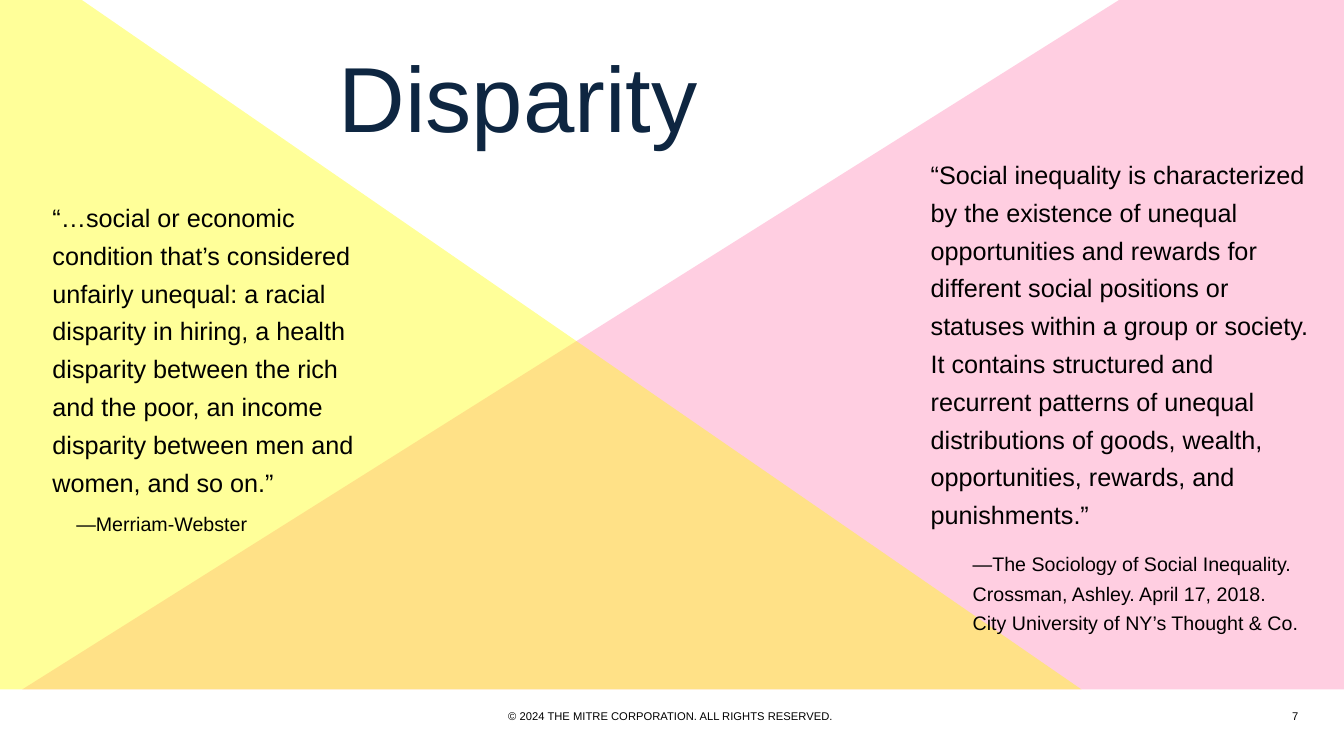
from lxml.etree import SubElement
from pptx import Presentation
from pptx.dml.color import RGBColor
from pptx.enum.shapes import MSO_SHAPE
from pptx.enum.text import MSO_ANCHOR, MSO_AUTO_SIZE, PP_ALIGN
from pptx.oxml.ns import qn
from pptx.util import Pt

NAVY = RGBColor(0x0E, 0x26, 0x41)
BLACK = RGBColor(0x00, 0x00, 0x00)
PINK = RGBColor(0xFF, 0x2D, 0x80)
YELLOW = RGBColor(0xFF, 0xFF, 0x00)

SOCIAL_INEQUALITY = (
    "“Social inequality is characterized by the existence of unequal opportunities "
    "and rewards for different social positions or statuses within a group or society. "
    "It contains structured and recurrent patterns of unequal distributions of goods, "
    "wealth, opportunities, rewards, and punishments.”"
)
DISPARITY = (
    "“…social or economic condition that’s considered unfairly unequal: a racial "
    "disparity in hiring, a health disparity between the rich and the poor, an income "
    "disparity between men and women, and so on.”"
)


class SlideBuilder:
    """Holds the text style and the current page, and adds elements to it."""

    font_name = "Arial"
    quote_spacing = 1.25

    def __init__(self, page):
        self.page = page

    def add_span(self, para, text, size, color=BLACK):
        span = para.add_run()
        span.text = text
        span.font.name = self.font_name
        span.font.size = Pt(size)
        span.font.color.rgb = color

    def prepare_frame(self, box, anchor):
        frame = box.text_frame
        frame.word_wrap = True
        frame.auto_size = MSO_AUTO_SIZE.NONE
        frame.vertical_anchor = anchor
        frame.margin_left = frame.margin_right = 0
        frame.margin_top = frame.margin_bottom = 0
        return frame

    def add_box(self, left, top, width, height, anchor=MSO_ANCHOR.TOP):
        box = self.page.shapes.add_textbox(Pt(left), Pt(top), Pt(width), Pt(height))
        return self.prepare_frame(box, anchor)

    def add_title(self, text, left, top, width, height):
        title = self.page.shapes.title
        title.left, title.top = Pt(left), Pt(top)
        title.width, title.height = Pt(width), Pt(height)
        frame = self.prepare_frame(title, MSO_ANCHOR.TOP)
        frame.margin_top = Pt(9)
        para = frame.paragraphs[0]
        para.alignment = PP_ALIGN.CENTER
        para.line_spacing = 0.9
        self.add_span(para, text, 66, NAVY)

    def add_triangle(self, left, top, width, height, color, opacity, flipped=False):
        triangle = self.page.shapes.add_shape(
            MSO_SHAPE.RIGHT_TRIANGLE, Pt(left), Pt(top), Pt(width), Pt(height))
        triangle.shadow.inherit = False
        triangle.line.fill.background()
        triangle.fill.solid()
        triangle.fill.fore_color.rgb = color
        properties = triangle.element.spPr
        tint = properties.find(qn("a:solidFill")).find(qn("a:srgbClr"))
        SubElement(tint, qn("a:alpha")).set("val", str(opacity * 1000))
        if flipped:
            properties.find(qn("a:xfrm")).set("flipH", "1")

    def add_quote(self, place, quote, credit_lines, indent, gap):
        frame = self.add_box(*place)
        quote_para, credit_para = frame.paragraphs[0], frame.add_paragraph()
        for para, margin in ((quote_para, 1), (credit_para, indent)):
            properties = para._p.get_or_add_pPr()
            properties.set("marL", str(Pt(margin)))
            properties.set("indent", "0")
            para.line_spacing = self.quote_spacing
            para.space_after = Pt(gap)
        self.add_span(quote_para, quote, 18)
        for index, line in enumerate(credit_lines):
            if index:
                credit_para.add_line_break()
            self.add_span(credit_para, line, 14)

    def add_footer(self, text, left, width, alignment):
        frame = self.add_box(left, 504, width, 14.4, MSO_ANCHOR.MIDDLE)
        para = frame.paragraphs[0]
        para.alignment = alignment
        self.add_span(para, text, 8)


def main():
    """Builds the Disparity slide."""
    deck = Presentation()
    deck.slide_width, deck.slide_height = Pt(960), Pt(540)
    builder = SlideBuilder(deck.slides.add_slide(deck.slide_layouts[5]))
    builder.add_title("Disparity", 0, 28.8, 740, 94.3)
    builder.add_triangle(15.84, -137.5, 1002.24, 630, PINK, 23, flipped=True)
    builder.add_triangle(-30.24, -61.2, 802.8, 553.7, YELLOW, 40)
    builder.add_quote(
        (663.8, 108.5, 276, 340), SOCIAL_INEQUALITY,
        ["—The Sociology of Social Inequality. Crossman, Ashley. April 17, 2018. ",
         "City University of NY’s Thought & Co."], 31, 12)
    builder.add_quote(
        (36.5, 139.2, 227, 240), DISPARITY, ["—Merriam-Webster"], 18, 6)
    builder.add_footer(
        "© 2024 THE MITRE CORPORATION. ALL RIGHTS RESERVED. ", 133.2, 694, PP_ALIGN.CENTER)
    builder.add_footer("7", 878.4, 49, PP_ALIGN.RIGHT)
    deck.save("out.pptx")


if __name__ == "__main__":
    main()
